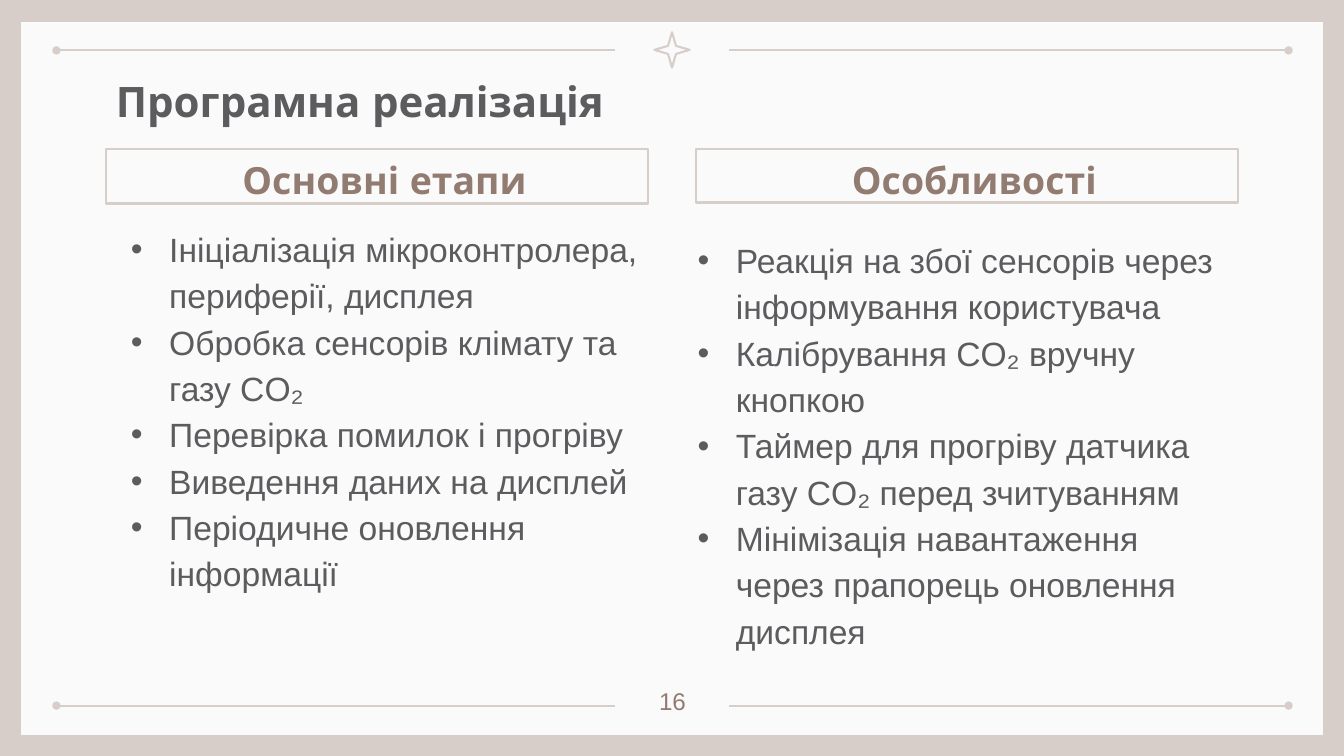
import pptx
import pptx.dml.color
import pptx.enum.shapes
import pptx.enum.text
import pptx.oxml.ns
import pptx.util
from lxml import etree

Inches = pptx.util.Inches
Shape = pptx.enum.shapes.MSO_SHAPE
Align = pptx.enum.text.PP_ALIGN
Anchor = pptx.enum.text.MSO_ANCHOR

GRAY, BROWN, SAND, PAPER = "5C5C5F", "927C71", "D8CEC9", "FAFAFA"

STEPS = [
    "Ініціалізація мікроконтролера, периферії, дисплея",
    "Обробка сенсорів клімату та газу CO₂",
    "Перевірка помилок і прогріву",
    "Виведення даних на дисплей",
    "Періодичне оновлення інформації",
]
TRAITS = [
    "Реакція на збої сенсорів через інформування користувача",
    "Калібрування CO₂ вручну кнопкою",
    "Таймер для прогріву датчика газу CO₂ перед зчитуванням",
    "Мінімізація навантаження через прапорець оновлення дисплея",
]


def color(code):
    return pptx.dml.color.RGBColor.from_string(code)


def child(node, tag, **attrs):
    return etree.SubElement(node, pptx.oxml.ns.qn(tag), **attrs)


def write(shape, lines, size=24, font="Arial", ink=GRAY, bold=False,
          align=Align.LEFT, anchor=Anchor.TOP, indent=None, bullet=None,
          space=1.0):
    """Fill a shape with one paragraph per line; indent is (left, first)."""
    frame = shape.text_frame
    frame.word_wrap = True
    frame.auto_size = pptx.enum.text.MSO_AUTO_SIZE.NONE
    frame.vertical_anchor = anchor
    frame.margin_left = frame.margin_right = Inches(0.1)
    frame.margin_top = frame.margin_bottom = Inches(0.1)
    frame.text = "\n".join(lines)
    for para in frame.paragraphs:
        props = para._p.get_or_add_pPr()
        if indent:
            left, first = indent
            props.set("marL", str(Inches(left)))
            props.set("indent", str(Inches(first)))
        if bullet:
            child(child(props, "a:buClr"), "a:srgbClr", val=ink)
            child(props, "a:buFont", typeface=font)
            child(props, "a:buChar", char=bullet)
        para.alignment = align
        para.line_spacing = space
        for run in para.runs:
            run.font.size = pptx.util.Pt(size)
            run.font.name = font
            run.font.bold = bold
            run.font.color.rgb = color(ink)


class Deck:
    """Holds the line style and the current slide."""

    def __init__(self, slide, line=SAND, width=1.5):
        self.slide = slide
        self.line = line
        self.width = pptx.util.Pt(width)

    def back(self, fill):
        self.slide.background.fill.solid()
        self.slide.background.fill.fore_color.rgb = color(fill)

    def shape(self, kind, box, fill=None):
        """Add a filled shape without outline, or an outlined one."""
        item = self.slide.shapes.add_shape(kind, *map(Inches, box))
        item.shadow.inherit = False
        if fill:
            item.fill.solid()
            item.fill.fore_color.rgb = color(fill)
            item.line.fill.background()
        else:
            item.fill.background()
            item.line.color.rgb = color(self.line)
            item.line.width = self.width
        return item

    def rule(self, left, right, y, dot):
        """Add a level line; dot names the end with the oval."""
        item = self.slide.shapes.add_connector(
            pptx.enum.shapes.MSO_CONNECTOR.STRAIGHT,
            Inches(left), Inches(y), Inches(right), Inches(y))
        item.line.color.rgb = color(self.line)
        item.line.width = self.width
        child(item.line._get_or_add_ln(), dot, type="oval")
        child(item._element.spPr, "a:effectLst")

    def text(self, box, lines, **form):
        item = self.slide.shapes.add_textbox(*map(Inches, box))
        write(item, lines, **form)

    def title(self, box, words, **form):
        """Place the title above the shapes drawn so far."""
        item = self.slide.shapes.title
        item.left, item.top, item.width, item.height = map(Inches, box)
        write(item, [words], **form)
        self.slide.shapes._spTree.append(item._element)

    def head(self, box, words):
        write(self.shape(Shape.RECTANGLE, box), [words], size=26.7,
              font="Quicksand", ink=BROWN, bold=True, align=Align.CENTER,
              anchor=Anchor.MIDDLE, indent=(0.5, -0.35), space=1.15)

    def points(self, box, lines):
        self.text(box, lines, indent=(0.53, -0.38), bullet="•", space=1.15)


def main():
    show = pptx.Presentation()
    show.slide_width, show.slide_height = Inches(13.33), Inches(7.5)
    deck = Deck(show.slides.add_slide(show.slide_layouts[5]))

    deck.back(SAND)
    deck.shape(Shape.RECTANGLE, (0.21, 0.22, 12.91, 7.07), fill=PAPER)
    for y in (0.5, 7):
        deck.rule(0.56, 6.1, y, "a:headEnd")
        deck.rule(7.23, 12.78, y, "a:tailEnd")
    star = deck.shape(Shape.STAR_4_POINT, (6.49, 0.32, 0.35, 0.35))
    star.adjustments[0] = 0.16
    deck.text((6.27, 6.71, 0.8, 0.49), ["16"], size=17.3, ink=BROWN,
              align=Align.CENTER, anchor=Anchor.MIDDLE)

    deck.title((1.05, 0.65, 11.23, 0.84), "Програмна реалізація",
               size=30, font="Quicksand", bold=True)
    deck.points((1.05, 2.11, 5.62, 4.15), STEPS)
    deck.points((6.67, 2.22, 5.62, 4.15), TRAITS)
    deck.head((1.05, 1.48, 5.38, 0.54), "Основні етапи")
    deck.head((6.9, 1.48, 5.38, 0.53), "Особливості")

    show.save("out.pptx")


if __name__ == "__main__":
    main()
